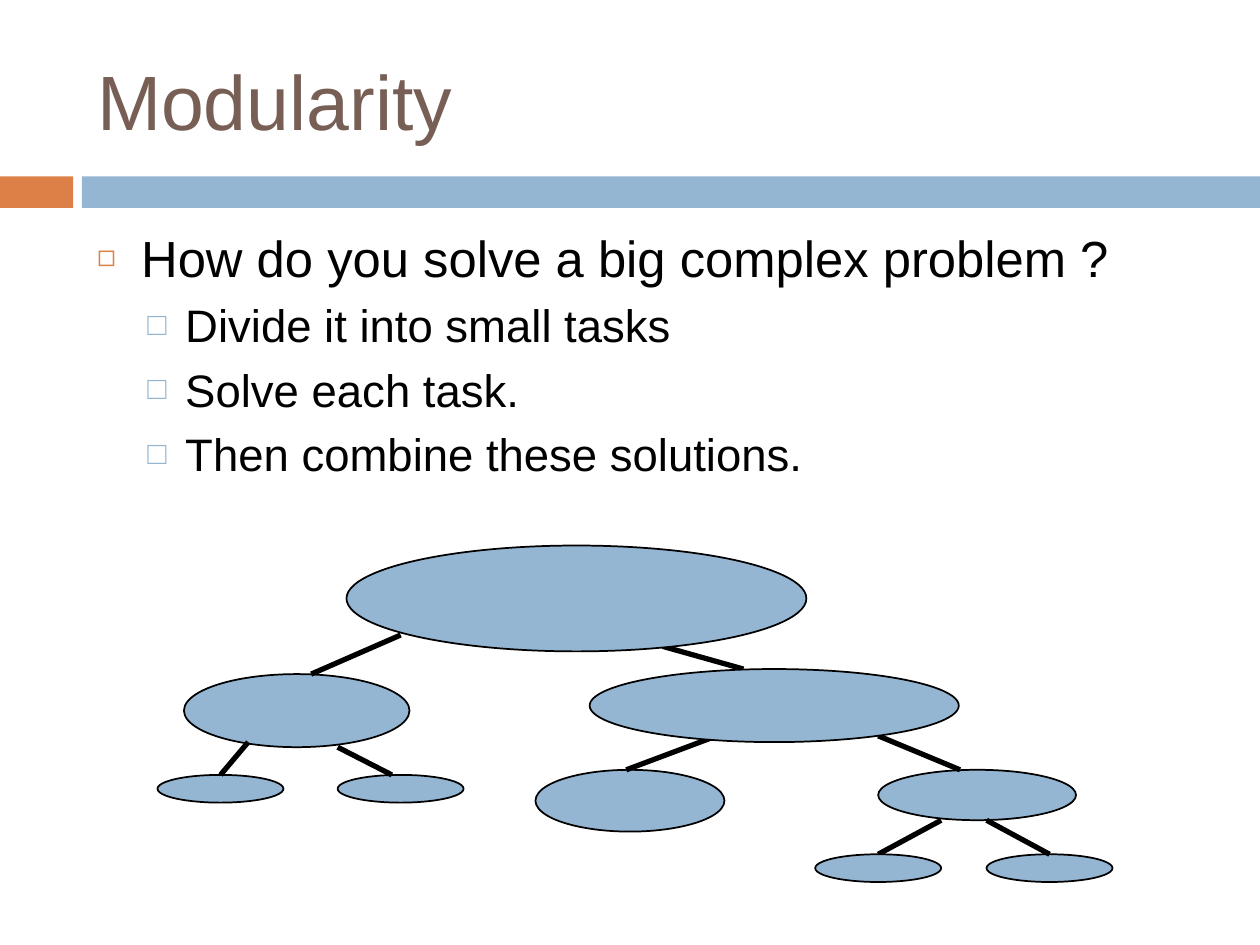
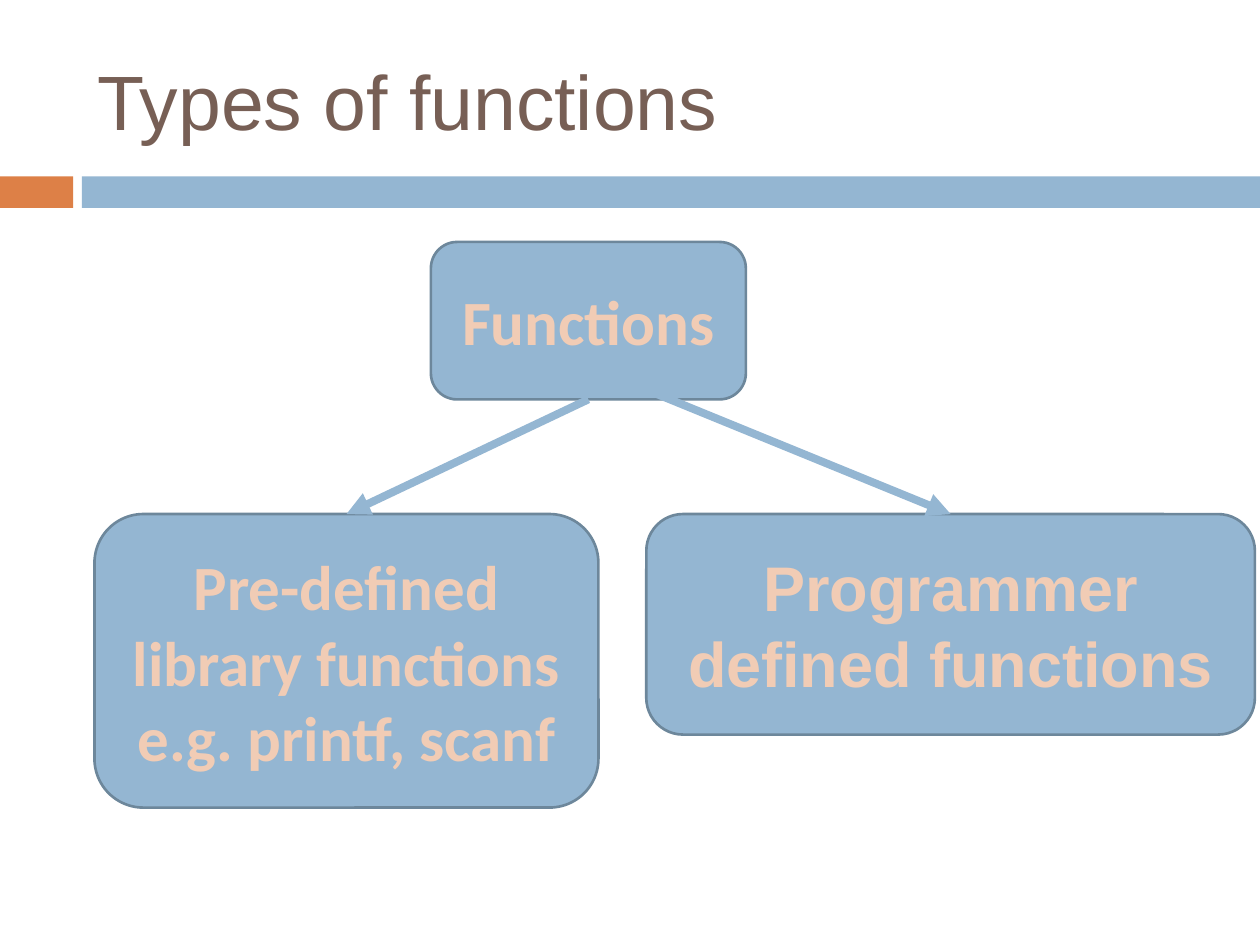
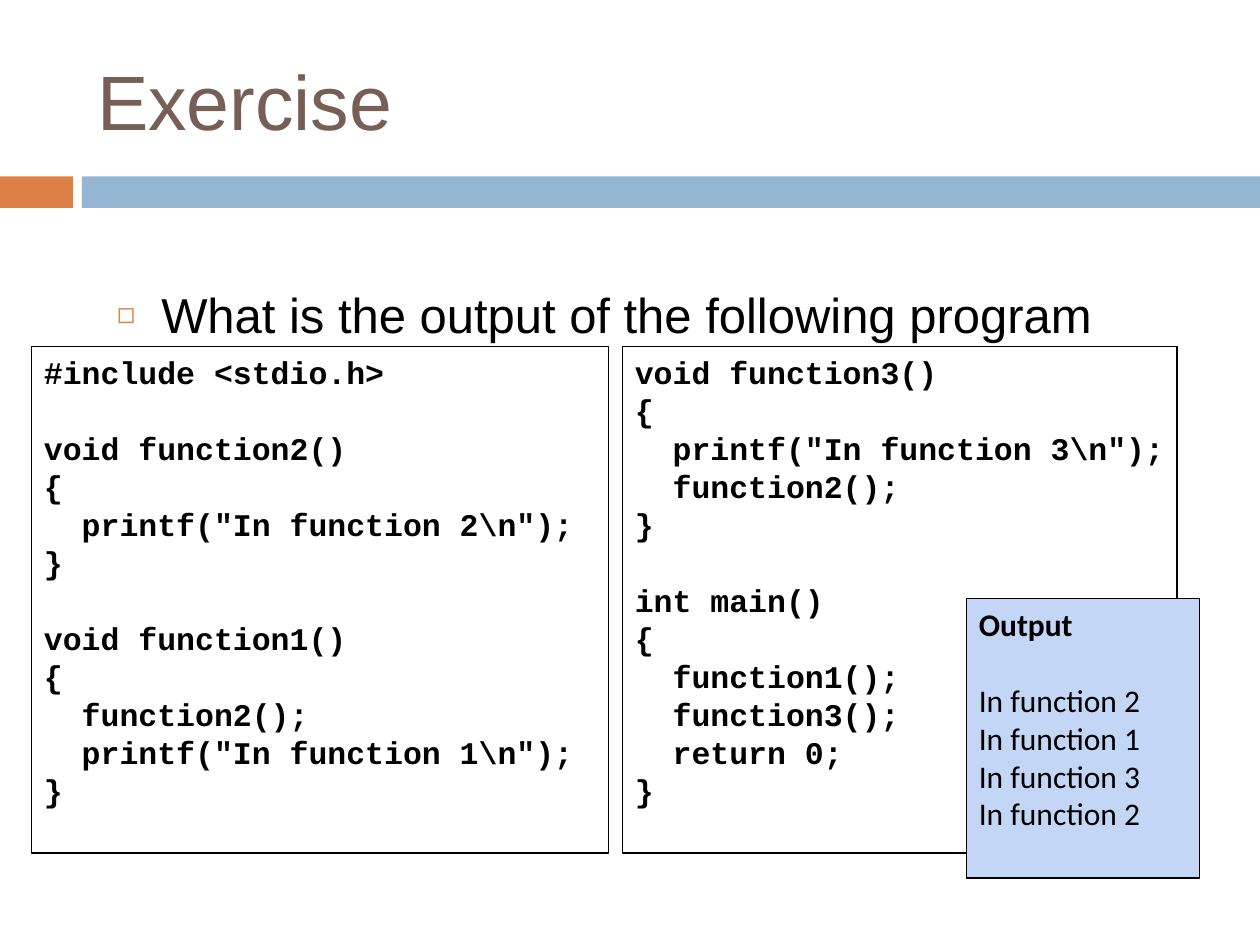
"""Build three slides on modular programming with functions."""
from dataclasses import dataclass
from typing import NamedTuple

from lxml import etree
from pptx import Presentation
from pptx.dml.color import RGBColor
from pptx.enum.shapes import MSO_CONNECTOR, MSO_SHAPE
from pptx.enum.text import MSO_ANCHOR, MSO_AUTO_SIZE, PP_ALIGN
from pptx.oxml.ns import qn
from pptx.util import Inches, Pt

RECT = MSO_SHAPE.RECTANGLE
ROUNDED = MSO_SHAPE.ROUNDED_RECTANGLE
OVAL = MSO_SHAPE.OVAL
STRAIGHT = MSO_CONNECTOR.STRAIGHT
MIDDLE, TOP = MSO_ANCHOR.MIDDLE, MSO_ANCHOR.TOP
LEFT, CENTER = PP_ALIGN.LEFT, PP_ALIGN.CENTER
FIXED = MSO_AUTO_SIZE.NONE
TITLE_AND_BODY, TITLE_ONLY = 1, 5
TOP_SIDE, BOTTOM_SIDE = 0, 2


@dataclass(frozen=True)
class Theme:
    """Colours, fonts and type sizes of the deck."""
    orange: str = "DD8047"
    blue: str = "94B6D2"
    edge: str = "6D879B"
    title: str = "775F55"
    ink: str = "000000"
    peach: str = "F1CCB5"
    output: str = "C3D6F5"
    sans: str = "Arial"
    label: str = "Calibri"
    mono: str = "Courier New"
    title_size: float = 44
    box_size: float = 36
    code_size: float = 18
    code_pitch: float = 21.7


THEME = Theme()


class Area(NamedTuple):
    """Left, top, width and height in inches."""
    left: float
    top: float
    width: float
    height: float


class Edge(NamedTuple):
    """Start and end of a line in inches."""
    x1: float
    y1: float
    x2: float
    y2: float


class Band(NamedTuple):
    """Coloured strip under the title."""
    area: Area
    color: str


class Bullet(NamedTuple):
    """Look of one list level."""
    char: str
    color: str
    percent: int
    margin: float
    hanging: float
    before: float


class Item(NamedTuple):
    """One line of a list."""
    text: str
    level: int
    size: float


class Box(NamedTuple):
    """Labelled rounded box."""
    area: Area
    text: str
    font: str


BANDS = (
    Band(Area(0, 1.4, 0.58, 0.25), THEME.orange),
    Band(Area(0.65, 1.4, 9.35, 0.25), THEME.blue),
)
BULLETS = (
    Bullet("◻", THEME.orange, 60, 0.35, 0.35, 7),
    Bullet("□", THEME.blue, 70, 0.7, 0.3, 5.5),
)
TITLE_AREA = Area(0.67, 0.25, 8.92, 1.08)

LEAF = (1, 0.22)
TASKS_BEHIND = (
    Area(1.46, 5.35, 1.79, 0.58),
    Area(4.25, 6.11, 1.5, 0.49),
    Area(6.97, 6.11, 1.57, 0.4),
    Area(1.25, 6.15, *LEAF),
    Area(2.68, 6.15, *LEAF),
    Area(7.83, 6.78, *LEAF),
)
TASK_LINKS = (
    Edge(3.18, 5.04, 2.47, 5.35),
    Edge(5.26, 5.13, 5.9, 5.31),
    Edge(6.97, 5.84, 7.62, 6.11),
    Edge(7.83, 6.51, 8.33, 6.78),
    Edge(5.69, 5.84, 4.97, 6.11),
    Edge(7.47, 6.51, 6.97, 6.78),
    Edge(2.68, 5.93, 3.11, 6.15),
    Edge(1.97, 5.89, 1.75, 6.15),
)
TASKS_IN_FRONT = (
    Area(6.47, 6.78, *LEAF),
    Area(4.68, 5.31, 2.93, 0.58),
    Area(2.75, 4.33, 3.65, 0.84),
)

HELPERS_CODE = r"""#include <stdio.h>

void function2()
{
  printf("In function 2\n");
}

void function1()
{
  function2();
  printf("In function 1\n");
}"""
MAIN_CODE = r"""void function3()
{
  printf("In function 3\n");
  function2();
}

int main()
{
  function1();
  function3();
  return 0;
}"""
OUTPUT = "Output\nIn function 2\nIn function 1\nIn function 3\nIn function 2"


def inches(values) -> list:
    """Turn plain numbers into lengths."""
    return [Inches(value) for value in values]


def place(shape, area: Area) -> None:
    """Move a shape to an area."""
    shape.left, shape.top, shape.width, shape.height = inches(area)


def style(paragraph, font: str, size: float, color: str, bold: bool = False) -> None:
    """Format every run of a paragraph."""
    for run in paragraph.runs:
        run.font.name = font
        run.font.size = Pt(size)
        run.font.bold = bold
        run.font.color.rgb = RGBColor.from_string(color)


def outline(shape, color: str, width: float) -> None:
    """Set the line of a shape."""
    shape.line.color.rgb = RGBColor.from_string(color)
    shape.line.width = Pt(width)


def add_filled(shapes, kind, area: Area, color: str):
    """Add a flat preset shape without a line."""
    shape = shapes.add_shape(kind, *inches(area))
    shape.shadow.inherit = False
    shape.fill.solid()
    shape.fill.fore_color.rgb = RGBColor.from_string(color)
    shape.line.fill.background()
    return shape


def add_line(shapes, edge: Edge, color: str, width: float):
    """Add a straight connector without a shadow."""
    line = shapes.add_connector(STRAIGHT, *inches(edge))
    outline(line, color, width)
    etree.SubElement(line.element.spPr, qn("a:effectLst"))
    return line


def add_arrowhead(line) -> None:
    """Put a triangle at the end of a line."""
    etree.SubElement(line.line._get_or_add_ln(), qn("a:tailEnd"), type="triangle")


def add_slide(prs, layout: int, heading: str):
    """Add a slide with its bands and title."""
    slide = prs.slides.add_slide(prs.slide_layouts[layout])
    for band in BANDS:
        add_filled(slide.shapes, RECT, band.area, band.color)
    title = slide.shapes.title
    place(title, TITLE_AREA)
    frame = title.text_frame
    frame.text = heading
    frame.auto_size = FIXED
    frame.vertical_anchor = MIDDLE
    frame.paragraphs[0].alignment = LEFT
    style(frame.paragraphs[0], THEME.sans, THEME.title_size, THEME.title)
    return slide


def set_bullet(paragraph, bullet: Bullet) -> None:
    """Give a paragraph its indent and bullet."""
    properties = paragraph._p.get_or_add_pPr()
    properties.set("marL", str(Inches(bullet.margin)))
    properties.set("indent", str(-Inches(bullet.hanging)))
    color = etree.SubElement(properties, qn("a:buClr"))
    etree.SubElement(color, qn("a:srgbClr"), val=bullet.color)
    etree.SubElement(properties, qn("a:buSzPct"), val=str(bullet.percent * 1000))
    etree.SubElement(properties, qn("a:buChar"), char=bullet.char)


def fill_list(body, area: Area, items: tuple[Item, ...]) -> None:
    """Write a bulleted list into the body placeholder."""
    place(body, area)
    frame = body.text_frame
    frame.text = "\n".join(item.text for item in items)
    frame.auto_size = FIXED
    frame.vertical_anchor = TOP
    for index, (paragraph, item) in enumerate(zip(frame.paragraphs, items)):
        bullet = BULLETS[item.level]
        paragraph.level = item.level
        set_bullet(paragraph, bullet)
        paragraph.space_before = Pt(bullet.before if index else 0)
        style(paragraph, THEME.sans, item.size, THEME.ink)


def add_box(shapes, box: Box):
    """Add a rounded box with a centred label."""
    shape = add_filled(shapes, ROUNDED, box.area, THEME.blue)
    outline(shape, THEME.edge, 1.5)
    frame = shape.text_frame
    frame.text = box.text
    frame.word_wrap = True
    frame.vertical_anchor = MIDDLE
    for paragraph in frame.paragraphs:
        paragraph.alignment = CENTER
        style(paragraph, box.font, THEME.box_size, THEME.peach, bold=True)
    return shape


def add_panel(shapes, area: Area, text: str):
    """Add a framed text panel and return it."""
    panel = shapes.add_textbox(*inches(area))
    outline(panel, THEME.ink, 1)
    panel.text_frame.text = text
    panel.text_frame.word_wrap = True
    return panel


def add_code(shapes, area: Area, code: str) -> None:
    """Add a panel of program code."""
    panel = add_panel(shapes, area, code)
    for paragraph in panel.text_frame.paragraphs:
        paragraph.line_spacing = Pt(THEME.code_pitch)
        style(paragraph, THEME.mono, THEME.code_size, THEME.ink, bold=True)


def add_output(shapes, area: Area) -> None:
    """Add the panel with the program's output."""
    panel = add_panel(shapes, area, OUTPUT)
    panel.fill.solid()
    panel.fill.fore_color.rgb = RGBColor.from_string(THEME.output)
    paragraphs = panel.text_frame.paragraphs
    for index, paragraph in enumerate(paragraphs):
        style(paragraph, THEME.label, THEME.code_size, THEME.ink, bold=index == 0)
    paragraphs[1].space_before = Pt(22)


def add_tasks(shapes, areas: tuple[Area, ...]) -> None:
    """Add the ovals of the task tree."""
    for area in areas:
        outline(add_filled(shapes, OVAL, area, THEME.blue), THEME.ink, 1)


def build_modularity(prs) -> None:
    """Show a problem divided into tasks."""
    slide = add_slide(prs, TITLE_AND_BODY, "Modularity")
    fill_list(slide.placeholders[1], Area(0.67, 1.75, 8.92, 4.92), (
        Item("How do you solve a big complex problem ?", 0, 29),
        Item("Divide it into small tasks", 1, 26),
        Item("Solve each task.", 1, 26),
        Item("Then combine these solutions.", 1, 26),
    ))
    tree = slide.shapes.add_group_shape().shapes
    add_tasks(tree, TASKS_BEHIND)
    for link in TASK_LINKS:
        add_line(tree, link, THEME.ink, 3)
    add_tasks(tree, TASKS_IN_FRONT)


def build_function_types(prs) -> None:
    """Show the two types of functions."""
    shapes = add_slide(prs, TITLE_ONLY, "Types of functions").shapes
    functions = add_box(shapes, Box(Area(3.42, 1.92, 2.5, 1.25), "Functions", THEME.label))
    predefined = add_box(shapes, Box(
        Area(0.75, 4.08, 4, 2.33),
        "Pre-defined library functions\ne.g. printf, scanf", THEME.label))
    programmer = add_box(shapes, Box(
        Area(5.13, 4.08, 4.83, 1.75), "Programmer defined functions", THEME.sans))
    to_predefined = add_line(shapes, Edge(4.67, 3.17, 2.75, 4.08), THEME.blue, 4.5)
    to_predefined.begin_connect(functions, BOTTOM_SIDE)
    to_predefined.end_connect(predefined, TOP_SIDE)
    to_programmer = add_line(shapes, Edge(5.17, 3.11, 7.54, 4.08), THEME.blue, 4.5)
    to_programmer.end_connect(programmer, TOP_SIDE)
    for arrow in (to_predefined, to_programmer):
        add_arrowhead(arrow)


def build_exercise(prs) -> None:
    """Show a program and its output."""
    slide = add_slide(prs, TITLE_AND_BODY, "Exercise")
    fill_list(slide.placeholders[1], Area(0.83, 2.21, 8.96, 0.54), (
        Item("What is the output of the following program", 0, 28),
    ))
    add_code(slide.shapes, Area(0.25, 2.75, 4.58, 4.02), HELPERS_CODE)
    add_code(slide.shapes, Area(4.94, 2.75, 4.4, 4.02), MAIN_CODE)
    add_output(slide.shapes, Area(7.67, 4.75, 1.85, 2.22))


def main() -> None:
    """Build and save the deck."""
    prs = Presentation()
    prs.slide_width, prs.slide_height = Inches(10), Inches(7.5)
    build_modularity(prs)
    build_function_types(prs)
    build_exercise(prs)
    prs.save("out.pptx")


if __name__ == "__main__":
    main()
